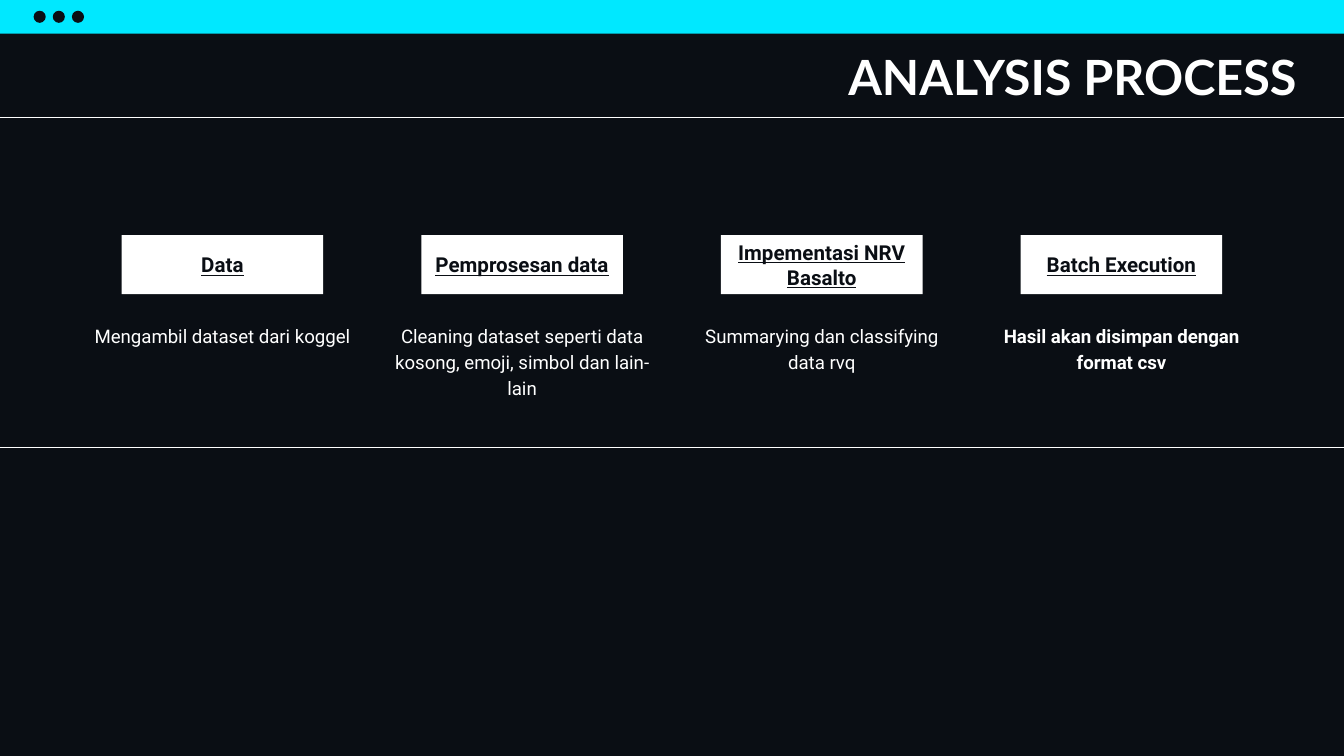
from pptx import Presentation
from pptx.dml.color import RGBColor
from pptx.enum.shapes import MSO_CONNECTOR as CONN, MSO_SHAPE as SHAPE
from pptx.enum.text import MSO_ANCHOR as ANCHOR, PP_ALIGN as ALIGN
from pptx.oxml.ns import qn
from pptx.util import Inches, Pt
from lxml.etree import SubElement

W = 10
H = W * 9 / 16
DARK, CYAN, WHITE = "0A0E14", "00E8FF", "FFFFFF"
BAR_H, HEAD_H = 0.25, H / 9
STEPS = [
    ("Data", "Mengambil dataset dari koggel", False),
    ("Pemprosesan data",
     "Cleaning dataset seperti data kosong, emoji, simbol dan lain-lain", False),
    ("Impementasi NRV Basalto", "Summarying dan classifying data rvq", False),
    ("Batch Execution", "Hasil akan disimpan dengan format csv", True),
]


def rgb(color):
    return RGBColor.from_string(color)


def add_block(s, kind, box, color):
    sp = s.shapes.add_shape(kind, *map(Inches, box))
    sp.shadow.inherit = False
    sp.fill.solid()
    sp.fill.fore_color.rgb = rgb(color)
    sp.line.fill.background()
    return sp


def add_textbox(s, box):
    return s.shapes.add_textbox(*map(Inches, box))


def write(sp, text, size, color, font="Roboto", align=ALIGN.CENTER,
          anchor=ANCHOR.TOP, bold=False, underline=False):
    tf = sp.text_frame
    tf.word_wrap = True
    tf.vertical_anchor = anchor
    tf.margin_left = tf.margin_right = tf.margin_top = tf.margin_bottom = Inches(0.1)
    tf.text = text
    p = tf.paragraphs[0]
    p.alignment = align
    f = p.runs[0].font
    f.name, f.size, f.bold, f.underline = font, Pt(size), bold, underline
    f.color.rgb = rgb(color)
    return p


def add_rule(s, y):
    ln = s.shapes.add_connector(CONN.STRAIGHT, 0, Inches(y), Inches(W), Inches(y))
    ln.line.color.rgb = rgb(WHITE)
    ln.line.width = Pt(0.75)
    SubElement(ln._element.spPr, qn("a:effectLst"))


def window_bar(s, x, y, w, h):
    add_block(s, SHAPE.RECTANGLE, (x, y, w, h), CYAN)
    dot, pitch = 0.09, h * 0.57
    for i in range(3):
        box = (x + h + i * pitch, y + (h - dot) / 2, dot, dot)
        add_block(s, SHAPE.OVAL, box, DARK)


def heading(s, x, y, w, h):
    write(add_textbox(s, (x, y, w, h)), "ANALYSIS PROCESS", 26, WHITE,
          font="Lato", align=ALIGN.RIGHT, bold=True)


def step(s, x, y, w, h, label, detail, bold):
    label_w, label_h, detail_h = 1.5, 0.44, H / 9
    tag = add_block(s, SHAPE.RECTANGLE,
                    (x + (w - label_w) / 2, y, label_w, label_h), WHITE)
    write(tag, label, 11, DARK, anchor=ANCHOR.MIDDLE, bold=True, underline=True)
    body = add_textbox(s, (x, y + h - detail_h, w, detail_h))
    p = write(body, detail, 10, WHITE, bold=bold)
    p.line_spacing = 1.15
    p.space_after = Pt(16)


def process(s, x, y, w, h):
    col = w / len(STEPS)
    for i, content in enumerate(STEPS):
        step(s, x + i * col, y, col, h, *content)


def main():
    prs = Presentation()
    prs.slide_width, prs.slide_height = Inches(W), Inches(H)
    s = prs.slides.add_slide(prs.slide_layouts[6])
    s.background.fill.solid()
    s.background.fill.fore_color.rgb = rgb(DARK)
    window_bar(s, 0, 0, W, BAR_H)
    heading(s, BAR_H, BAR_H, W - 2 * BAR_H, HEAD_H)
    process(s, 0.54, 1.75, W - 2 * 0.54, 1.17)
    for y in (3.33, BAR_H + HEAD_H):
        add_rule(s, y)
    prs.save("out.pptx")


if __name__ == "__main__":
    main()
